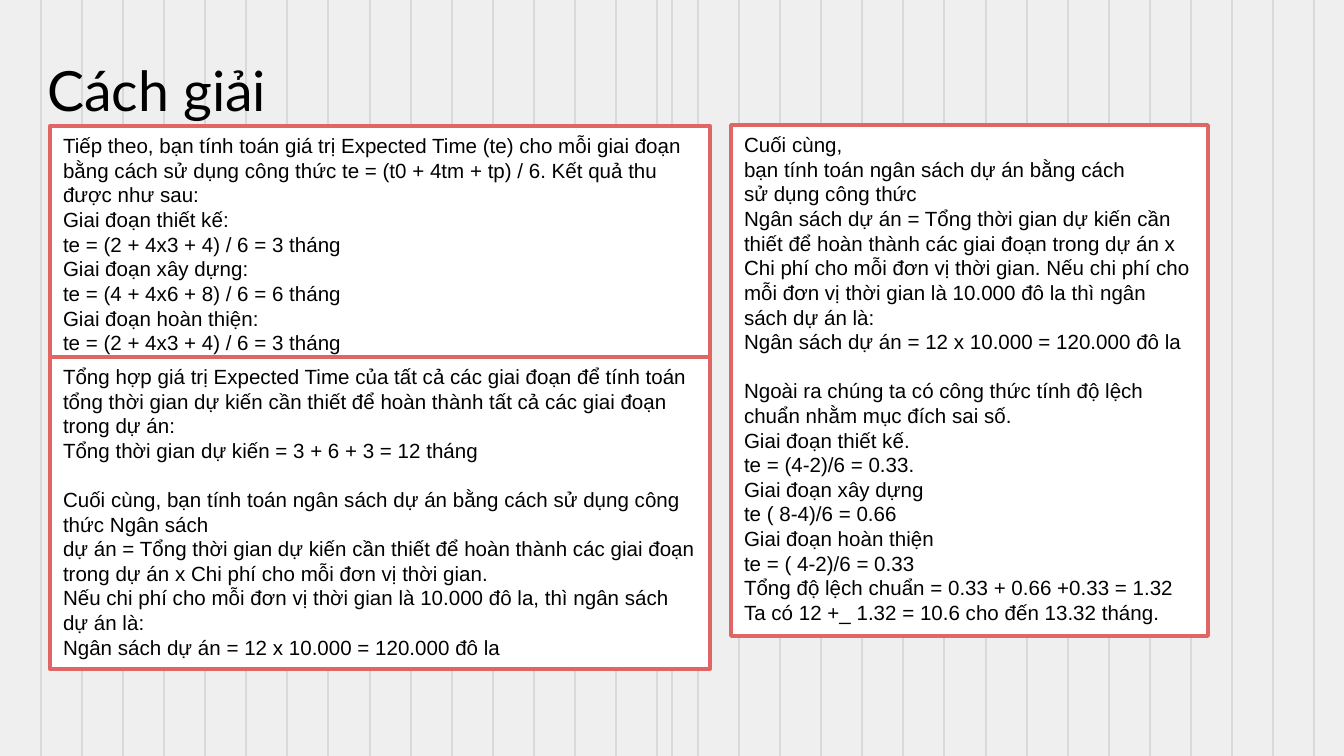
from dataclasses import dataclass

from lxml import etree
from pptx import Presentation, util as u
from pptx.dml.color import RGBColor
from pptx.enum import shapes, text
from pptx.oxml import ns

WIDTH, HEIGHT = 1344, 756
SCALE = u.Inches(10) / WIDTH


@dataclass(frozen=True)
class Theme:
    background: str = "EFEFEF"
    stripe: str = "D9D9D9"
    panel: str = "FFFFFF"
    border: str = "E06666"
    ink: str = "000000"
    title_font: str = "Lato"
    body_font: str = "Arial"
    title_size: float = 29.7
    body_size: float = 11
    group_gap: float = 13
    stripe_width: float = 0.75
    border_width: float = 2


THEME = Theme()

EXPECTED_TIMES = [[
    "Tiếp theo, bạn tính toán giá trị Expected Time (te) cho mỗi giai đoạn bằng cách sử dụng công thức te = (t0 + 4tm + tp) / 6. Kết quả thu được như sau:",
    "Giai đoạn thiết kế:",
    "te = (2 + 4x3 + 4) / 6 = 3 tháng",
    "Giai đoạn xây dựng:",
    "te = (4 + 4x6 + 8) / 6 = 6 tháng",
    "Giai đoạn hoàn thiện:",
    "te = (2 + 4x3 + 4) / 6 = 3 tháng",
]]

TOTAL_TIME = [[
    "Tổng hợp giá trị Expected Time của tất cả các giai đoạn để tính toán tổng thời gian dự kiến cần thiết để hoàn thành tất cả các giai đoạn trong dự án:",
    "Tổng thời gian dự kiến = 3 + 6 + 3 = 12 tháng",
], [
    "Cuối cùng, bạn tính toán ngân sách dự án bằng cách sử dụng công thức Ngân sách",
    "dự án = Tổng thời gian dự kiến cần thiết để hoàn thành các giai đoạn trong dự án x Chi phí cho mỗi đơn vị thời gian.",
    "Nếu chi phí cho mỗi đơn vị thời gian là 10.000 đô la, thì ngân sách dự án là:",
    "Ngân sách dự án = 12 x 10.000 = 120.000 đô la",
]]

BUDGET_AND_DEVIATION = [[
    "Cuối cùng,",
    "bạn tính toán ngân sách dự án bằng cách",
    "sử dụng công thức",
    "Ngân sách dự án = Tổng thời gian dự kiến cần thiết để hoàn thành các giai đoạn trong dự án x Chi phí cho mỗi đơn vị thời gian. Nếu chi phí cho mỗi đơn vị thời gian là 10.000 đô la thì ngân sách dự án là:",
    "Ngân sách dự án = 12 x 10.000 = 120.000 đô la",
], [
    "Ngoài ra chúng ta có công thức tính độ lệch chuẩn nhằm mục đích sai số.",
    "Giai đoạn thiết kế.",
    "te = (4-2)/6 = 0.33.",
    "Giai đoạn xây dựng",
    "te ( 8-4)/6 = 0.66",
    "Giai đoạn hoàn thiện",
    "te = ( 4-2)/6 = 0.33",
    "Tổng độ lệch chuẩn = 0.33 + 0.66 +0.33 = 1.32",
    "Ta có 12 +_ 1.32 = 10.6 cho đến 13.32 tháng.",
]]


def px(length):
    return u.Emu(round(length * SCALE))


def colour(value):
    return RGBColor.from_string(value)


def write(frame, groups, *, font, size, inset_x=13, inset_y=7, gap=0):
    frame.word_wrap = True
    frame.vertical_anchor = text.MSO_ANCHOR.TOP
    frame.margin_left = frame.margin_right = px(inset_x)
    frame.margin_top = frame.margin_bottom = px(inset_y)
    lines = [(row, group > 0 and row == 0, line)
             for group, rows in enumerate(groups)
             for row, line in enumerate(rows)]
    for index, (row, opens_group, line) in enumerate(lines):
        paragraph = frame.add_paragraph() if index else frame.paragraphs[0]
        paragraph.alignment = text.PP_ALIGN.LEFT
        if opens_group:
            paragraph.space_before = u.Pt(gap)
        run = paragraph.add_run()
        run.text = line
        run.font.name = font
        run.font.size = u.Pt(size)
        run.font.color.rgb = colour(THEME.ink)


def stripes(slide, left, top, width, height, count=32):
    offsets = [round(width * step / count) for step in range(1, count + 1)]
    for offset in offsets + [WIDTH // 2 - left]:
        x = px(left + offset)
        stripe = slide.shapes.add_connector(
            shapes.MSO_CONNECTOR.STRAIGHT, x, px(top), x, px(top + height))
        stripe.line.color.rgb = colour(THEME.stripe)
        stripe.line.width = u.Pt(THEME.stripe_width)
        etree.SubElement(stripe._element.spPr, ns.qn("a:effectLst"))


def heading(slide, left, top, width, height, title):
    box = slide.shapes.add_textbox(px(left), px(top), px(width), px(height))
    write(box.text_frame, [[title]], font=THEME.title_font,
          size=THEME.title_size, inset_y=13)


def panel(slide, left, top, width, height, groups):
    box = slide.shapes.add_shape(
        shapes.MSO_SHAPE.RECTANGLE, px(left), px(top), px(width), px(height))
    box.shadow.inherit = False
    box.fill.solid()
    box.fill.fore_color.rgb = colour(THEME.panel)
    box.line.color.rgb = colour(THEME.border)
    box.line.width = u.Pt(THEME.border_width)
    write(box.text_frame, groups, font=THEME.body_font,
          size=THEME.body_size, gap=THEME.group_gap)


def main():
    deck = Presentation()
    deck.slide_width, deck.slide_height = px(WIDTH), px(HEIGHT)
    slide = deck.slides.add_slide(deck.slide_layouts[6])
    slide.background.fill.solid()
    slide.background.fill.fore_color.rgb = colour(THEME.background)

    stripes(slide, 0, 0, 1314, HEIGHT)
    heading(slide, 34, 43, 675, 85, "Cách giải")
    panel(slide, 50, 126, 660, 238, EXPECTED_TIMES)
    panel(slide, 50, 357, 660, 312, TOTAL_TIME)
    panel(slide, 731, 125, 477, 511, BUDGET_AND_DEVIATION)
    deck.save("out.pptx")


if __name__ == "__main__":
    main()
